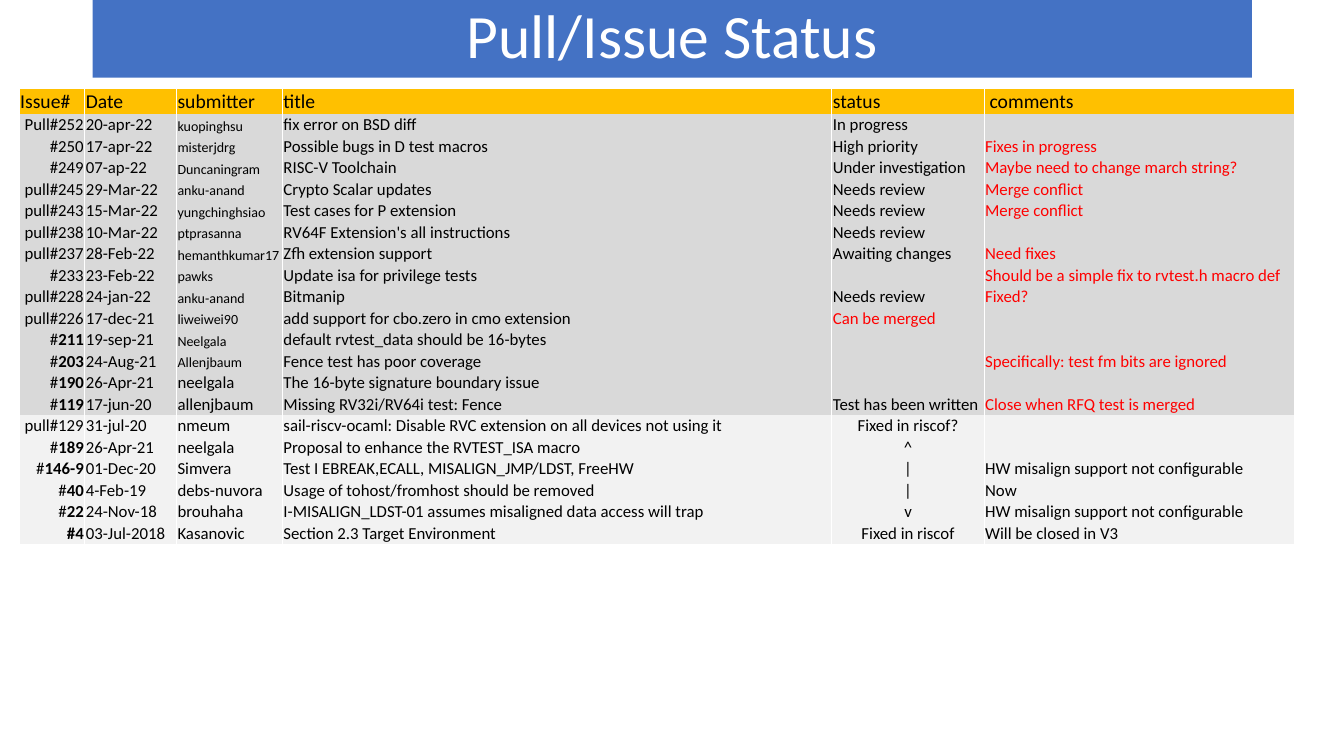
from dataclasses import dataclass

from lxml import etree
from pptx import Presentation
from pptx.dml.color import RGBColor
from pptx.enum.text import MSO_ANCHOR, PP_ALIGN
from pptx.oxml.ns import qn
from pptx.slide import Slide
from pptx.table import _Cell
from pptx.util import Inches, Length, Pt

WHITE = RGBColor(0xFF, 0xFF, 0xFF)
BLACK = RGBColor(0x00, 0x00, 0x00)
RED = RGBColor(0xFF, 0x00, 0x00)
BLUE = RGBColor(0x44, 0x72, 0xC4)
GOLD = RGBColor(0xFF, 0xC0, 0x00)
GRAY = RGBColor(0xD9, 0xD9, 0xD9)
PALE = RGBColor(0xF2, 0xF2, 0xF2)

LEFT, CENTER, RIGHT = PP_ALIGN.LEFT, PP_ALIGN.CENTER, PP_ALIGN.RIGHT
MIDDLE, BOTTOM = MSO_ANCHOR.MIDDLE, MSO_ANCHOR.BOTTOM

FONT = "Calibri"
SLIDE_WIDTH = Inches(13.33)
SLIDE_HEIGHT = Inches(7.5)
TITLE_ONLY = 5

HEADINGS = ("Issue#", "Date", "submitter", "title", "status", " comments")
COLUMN_PERCENTS = (4.88, 6.83, 7.88, 40.88, 11.33, 23.1)
HEADING_PERCENT = 3.2
ROW_PERCENT = 2.8
SMALL_SUBMITTERS = 12
MERGEABLE = "Can be merged"


@dataclass(frozen=True)
class Issue:
    label: str
    number: str
    date: str
    submitter: str
    title: str
    status: str = ""
    comment: str = ""


@dataclass(frozen=True)
class CellStyle:
    fill: RGBColor
    size: int = 12
    color: RGBColor = BLACK
    align: PP_ALIGN = LEFT


OPEN_ISSUES = (
    Issue("Pull#252", "", "20-apr-22", "kuopinghsu", "fix error on BSD diff", "In progress"),
    Issue("#250", "", "17-apr-22", "misterjdrg", "Possible bugs in D test macros",
          "High priority", "Fixes in progress"),
    Issue("#249", "", "07-ap-22", "Duncaningram", "RISC-V Toolchain",
          "Under investigation", "Maybe need to change march string?"),
    Issue("pull#245", "", "29-Mar-22", "anku-anand", "Crypto Scalar updates",
          "Needs review", "Merge conflict"),
    Issue("pull#243", "", "15-Mar-22", "yungchinghsiao", "Test cases for P extension",
          "Needs review", "Merge conflict"),
    Issue("pull#238", "", "10-Mar-22", "ptprasanna", "RV64F Extension's all instructions",
          "Needs review"),
    Issue("pull#237", "", "28-Feb-22", "hemanthkumar17", "Zfh extension support",
          "Awaiting changes", "Need fixes"),
    Issue("#233", "", "23-Feb-22", "pawks", "Update isa for privilege tests",
          "", "Should be a simple fix to rvtest.h macro def"),
    Issue("pull#228", "", "24-jan-22", "anku-anand", "Bitmanip", "Needs review", "Fixed?"),
    Issue("pull#226", "", "17-dec-21", "liweiwei90",
          "add support for cbo.zero in cmo extension", MERGEABLE),
    Issue("#", "211", "19-sep-21", "Neelgala", "default rvtest_data should be 16-bytes"),
    Issue("#", "203", "24-Aug-21", "Allenjbaum", "Fence test has poor coverage",
          "", "Specifically: test fm bits are ignored"),
    Issue("#", "190", "26-Apr-21", "neelgala", "The 16-byte signature boundary issue"),
    Issue("#", "119", "17-jun-20", "allenjbaum", "Missing RV32i/RV64i test: Fence",
          "Test has been written", "Close when RFQ test is merged"),
)

RISCOF_ISSUES = (
    Issue("pull#129", "", "31-jul-20", "nmeum",
          "sail-riscv-ocaml: Disable RVC extension on all devices not using it",
          "Fixed in riscof?"),
    Issue("#", "189", "26-Apr-21", "neelgala", "Proposal to enhance the RVTEST_ISA macro", "^"),
    Issue("#", "146-9", "01-Dec-20", "Simvera",
          "Test I EBREAK,ECALL, MISALIGN_JMP/LDST, FreeHW",
          "|", "HW misalign support not configurable"),
    Issue("#", "40", "4-Feb-19", "debs-nuvora", "Usage of tohost/fromhost should be removed",
          "|", "Now"),
    Issue("#", "22", "24-Nov-18", "brouhaha",
          "I-MISALIGN_LDST-01 assumes misaligned data access will trap",
          "v", "HW misalign support not configurable"),
    Issue("", "#4", "03-Jul-2018", "Kasanovic", "Section 2.3 Target Environment",
          "Fixed in riscof", "Will be closed in V3"),
)


def across(percent: float) -> Length:
    return Length(round(SLIDE_WIDTH * percent / 100))


def down(percent: float) -> Length:
    return Length(round(SLIDE_HEIGHT * percent / 100))


def draw_borders(cell: _Cell, top: bool) -> None:
    properties = cell._tc.get_or_add_tcPr()
    for side, visible in (("L", True), ("R", True), ("T", top), ("B", False)):
        line = etree.SubElement(properties, qn(f"a:ln{side}"), w=str(Pt(1)))
        if visible:
            fill = etree.SubElement(line, qn("a:solidFill"))
            etree.SubElement(fill, qn("a:srgbClr"), val=str(WHITE))
        else:
            etree.SubElement(line, qn("a:noFill"))


def fill_cell(cell: _Cell, text: str, style: CellStyle, strong: str = "",
              heading: bool = False) -> None:
    draw_borders(cell, top=heading)
    cell.fill.solid()
    cell.fill.fore_color.rgb = style.fill
    cell.vertical_anchor = BOTTOM
    cell.margin_left = cell.margin_top = cell.margin_right = Inches(0.01)
    cell.margin_bottom = 0
    para = cell.text_frame.paragraphs[0]
    para.alignment = style.align
    for words, bold in ((text, False), (strong, True)):
        if words:
            span = para.add_run()
            span.text = words
            span.font.name = FONT
            span.font.size = Pt(style.size)
            span.font.bold = bold
            span.font.color.rgb = style.color
    if not para.runs:
        etree.SubElement(para._p, qn("a:endParaRPr"), sz=str(style.size * 100))


def draw_title(page: Slide) -> None:
    box = page.shapes.title
    box.left, box.top = across(6.9), 0
    box.width, box.height = across(86.25), down(10.27)
    box.fill.solid()
    box.fill.fore_color.rgb = BLUE
    box.text_frame.text = "Pull/Issue Status"
    box.text_frame.vertical_anchor = MIDDLE
    para = box.text_frame.paragraphs[0]
    para.alignment = CENTER
    para.line_spacing = 0.9
    font = para.runs[0].font
    font.name, font.size = FONT, Pt(44)
    font.color.rgb = WHITE


def draw_issues(page: Slide) -> None:
    issues = OPEN_ISSUES + RISCOF_ISSUES
    table = page.shapes.add_table(
        len(issues) + 1, len(HEADINGS), across(1.43), down(11.73),
        across(sum(COLUMN_PERCENTS)), down(HEADING_PERCENT + ROW_PERCENT * len(issues)),
    ).table
    table.first_row = table.horz_banding = False
    for column, percent in zip(table.columns, COLUMN_PERCENTS):
        column.width = across(percent)
    for row in table.rows:
        row.height = down(ROW_PERCENT)
    table.rows[0].height = down(HEADING_PERCENT)

    for column, heading in enumerate(HEADINGS):
        fill_cell(table.cell(0, column), heading, CellStyle(GOLD, 14), heading=True)

    for row, issue in enumerate(issues, start=1):
        is_open = row <= len(OPEN_ISSUES)
        fill = GRAY if is_open else PALE
        plain = CellStyle(fill)
        submitter = CellStyle(fill, 10 if row <= SMALL_SUBMITTERS else 12)
        status = CellStyle(fill, color=RED if issue.status == MERGEABLE else BLACK,
                           align=LEFT if is_open else CENTER)
        comment = CellStyle(fill, color=RED if is_open else BLACK)
        fill_cell(table.cell(row, 0), issue.label, CellStyle(fill, align=RIGHT), issue.number)
        entries = ((issue.date, plain), (issue.submitter, submitter), (issue.title, plain),
                   (issue.status, status), (issue.comment, comment))
        for column, (text, style) in enumerate(entries, start=1):
            fill_cell(table.cell(row, column), text, style)


def main() -> None:
    deck = Presentation()
    deck.slide_width, deck.slide_height = SLIDE_WIDTH, SLIDE_HEIGHT
    page = deck.slides.add_slide(deck.slide_layouts[TITLE_ONLY])
    draw_title(page)
    draw_issues(page)
    deck.save("out.pptx")


if __name__ == "__main__":
    main()
